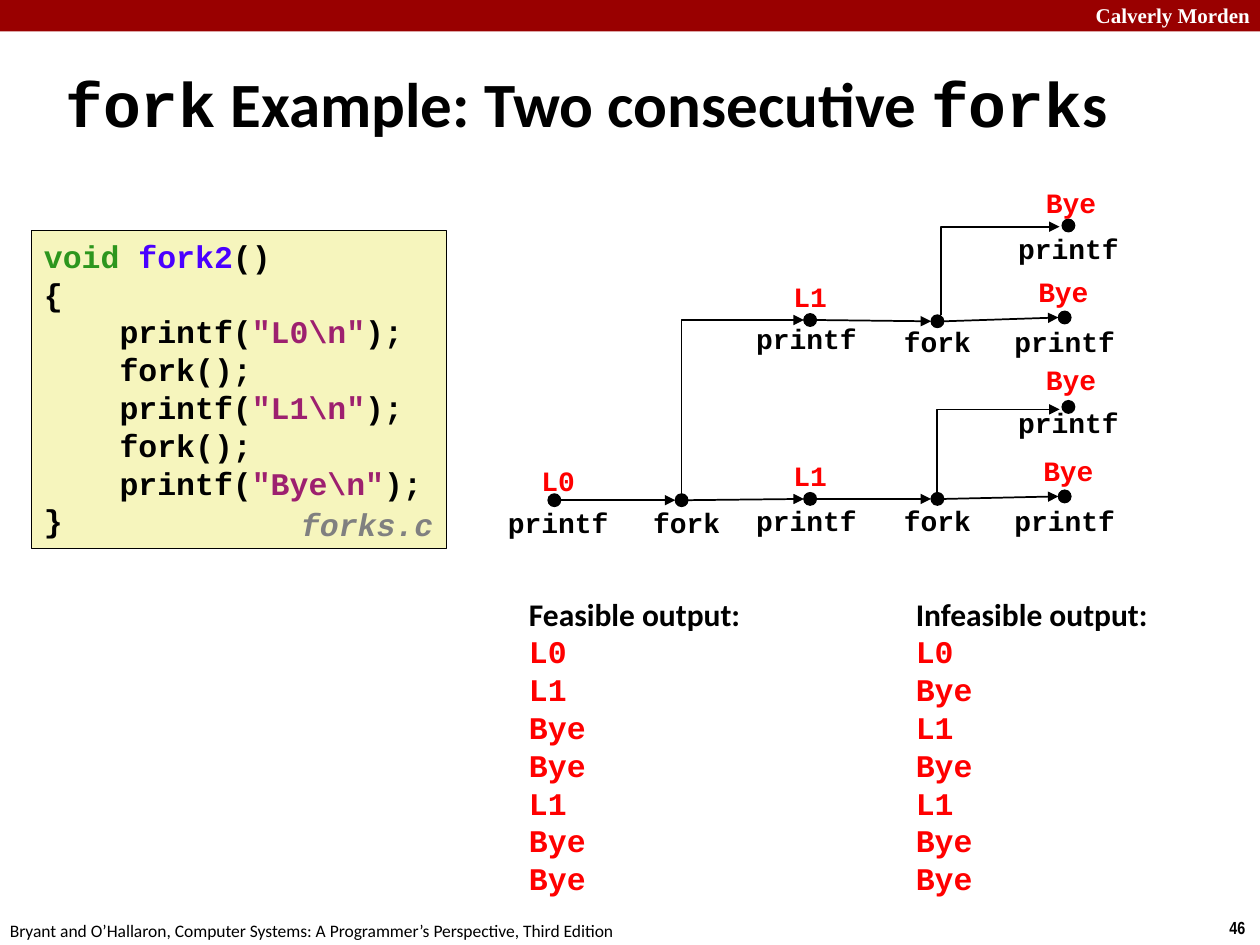
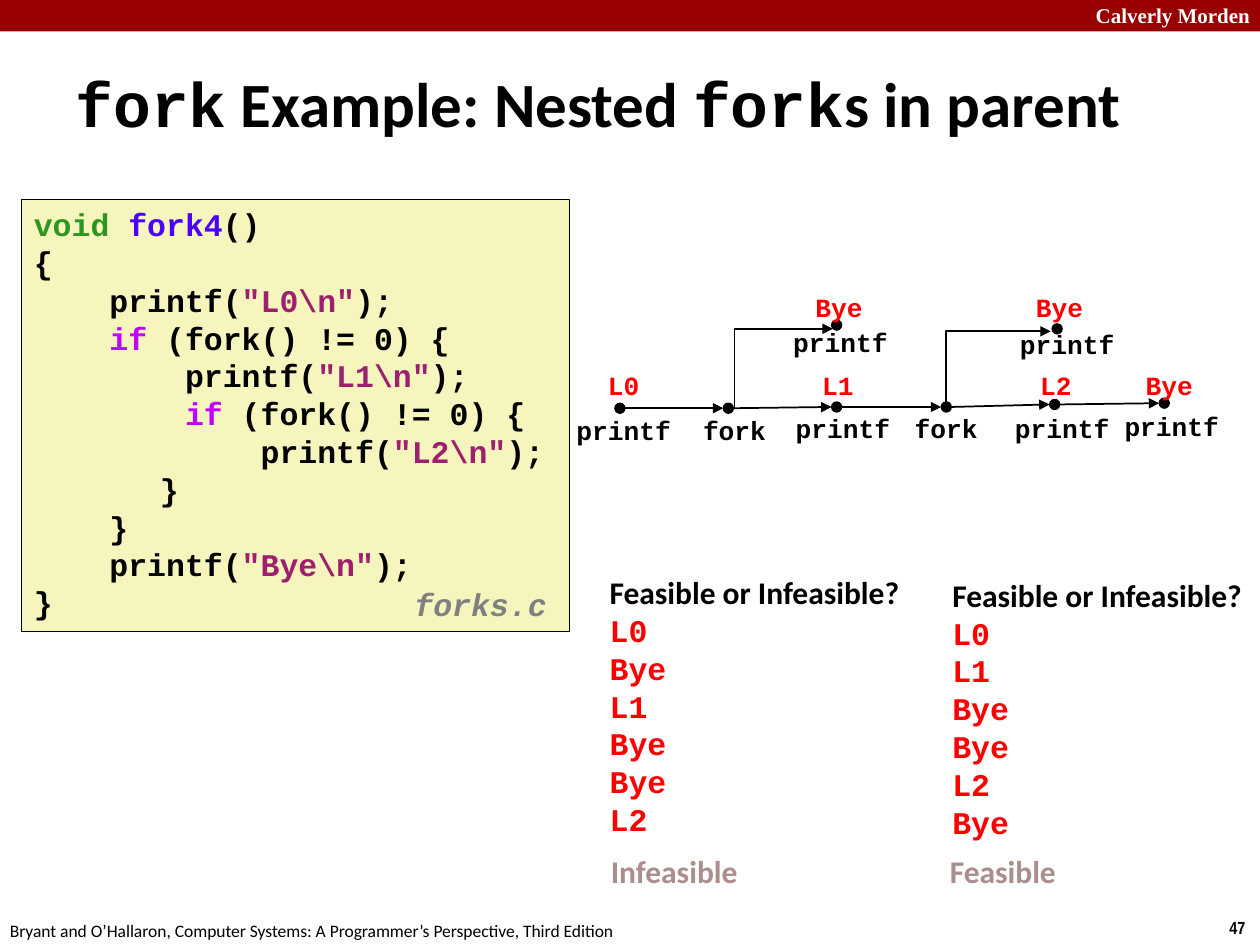
from collections import namedtuple

from lxml.etree import SubElement
from pptx import Presentation
from pptx.dml.color import RGBColor
from pptx.enum.shapes import MSO_CONNECTOR, MSO_SHAPE
from pptx.enum.text import MSO_ANCHOR, PP_ALIGN
from pptx.oxml.ns import qn
from pptx.util import Inches, Pt

BLACK = RGBColor(0x00, 0x00, 0x00)
WHITE = RGBColor(0xFF, 0xFF, 0xFF)
BAND_RED = RGBColor(0x99, 0x00, 0x00)
OUTPUT_RED = RGBColor(0xFF, 0x00, 0x00)
CODE_YELLOW = RGBColor(0xF6, 0xF5, 0xBD)
TYPE_GREEN = RGBColor(0x2D, 0x96, 0x1E)
NAME_BLUE = RGBColor(0x4A, 0x00, 0xFF)
STRING_PLUM = RGBColor(0x9D, 0x20, 0x6F)
KEYWORD_VIOLET = RGBColor(0xC2, 0x00, 0xFF)
FILE_GREY = RGBColor(0x80, 0x80, 0x80)
ANSWER_MAUVE = RGBColor(0xAB, 0x8D, 0x8D)

SANS = "Calibri"
MONO = "Courier New"

Line = namedtuple("Line", "runs indent", defaults=(0,))
Run = namedtuple("Run", "text color font", defaults=(None, None))
Step = namedtuple("Step", "x y call call_x call_y output output_x output_y",
                  defaults=(None, 0, 0))
Branch = namedtuple("Branch", "x bottom right top")


def write(holder, text, size=18, font=SANS, color=BLACK, bold=True, italic=False,
          align=PP_ALIGN.LEFT, anchor=MSO_ANCHOR.TOP, side_margin=0.1, spacing=None):
    frame = holder.text_frame
    frame.word_wrap = True
    frame.vertical_anchor = anchor
    frame.margin_left = frame.margin_right = Inches(side_margin)
    lines = [Line([Run(text)])] if isinstance(text, str) else text
    for index, line in enumerate(lines):
        paragraph = frame.add_paragraph() if index else frame.paragraphs[0]
        paragraph.alignment = align
        if spacing:
            paragraph.line_spacing = spacing
        if line.indent:
            paragraph._p.get_or_add_pPr().set("marL", str(Inches(line.indent)))
        for part in line.runs:
            run = paragraph.add_run()
            run.text = part.text
            run.font.size = Pt(size)
            run.font.name = part.font or font
            run.font.bold = bold
            run.font.italic = italic
            run.font.color.rgb = part.color or color


def add_text(slide, box, text, **style):
    write(slide.shapes.add_textbox(*map(Inches, box)), text, **style)


def add_solid(slide, preset, box, fill, line_width=None):
    solid = slide.shapes.add_shape(preset, *map(Inches, box))
    solid.shadow.inherit = False
    solid.fill.solid()
    solid.fill.fore_color.rgb = fill
    if line_width is None:
        solid.line.fill.background()
    else:
        solid.line.color.rgb = BLACK
        solid.line.width = Pt(line_width)
    return solid


def add_arrow(slide, kind, start, end):
    arrow = slide.shapes.add_connector(kind, *map(Inches, (*start, *end)))
    arrow.line.color.rgb = BLACK
    arrow.line.width = Pt(1)
    properties = arrow._element.spPr
    SubElement(properties.find(qn("a:ln")), qn("a:tailEnd"), type="triangle")
    SubElement(properties, qn("a:effectLst"))
    return arrow


def add_branch(slide, left, bottom, right, top):
    center_x, center_y = (left + right) / 2, (top + bottom) / 2
    half_rise, half_run = (bottom - top) / 2, (right - left) / 2
    arrow = add_arrow(slide, MSO_CONNECTOR.ELBOW,
                      (center_x + half_rise, center_y + half_run),
                      (center_x - half_rise, center_y - half_run))
    arrow.rotation = 90
    arrow._element.spPr.find(qn("a:prstGeom")).set("prst", "bentConnector2")


def add_frame(slide, page):
    add_solid(slide, MSO_SHAPE.RECTANGLE, (0, 0, 10, 0.25), BAND_RED)
    add_text(slide, (8, -0.03, 2.02, 0.3), "Calverly Morden", size=12,
             font="Times New Roman", color=WHITE, align=PP_ALIGN.RIGHT)
    add_text(slide, (9.66, 7.23, 0.34, 0.27), page, size=10, font="Arial Narrow")
    add_text(slide, (-0.02, 7.25, 5.3, 0.27),
             "Bryant and O’Hallaron, Computer Systems: A Programmer’s Perspective, Third Edition",
             size=10, bold=False)


def add_title(slide, box, before, after):
    fork = Run("fork", font=MONO)
    add_text(slide, box, [Line([fork, Run(before), fork, Run(after)])],
             size=36, anchor=MSO_ANCHOR.MIDDLE)


def color_code(indent, code):
    runs = []
    if code.startswith("if"):
        runs.append(Run("if", KEYWORD_VIOLET))
        code = code[2:]
    for index, piece in enumerate(code.split('"')):
        runs.append(Run(f'"{piece}"', STRING_PLUM) if index % 2 else Run(piece))
    return Line(runs, indent)


def add_code(slide, box, name, body):
    left, top, width, height = box
    signature = Line([Run("void ", TYPE_GREEN), Run(name, NAME_BLUE), Run("()")])
    panel = add_solid(slide, MSO_SHAPE.RECTANGLE, box, CODE_YELLOW, 0.25)
    write(panel, [signature] + [color_code(*line) for line in body], font=MONO)
    return left + width, top + height


def add_file_name(slide, left, top):
    add_text(slide, (left, top, 1.32, 0.39), "forks.c", font=MONO, color=FILE_GREY,
             italic=True, spacing=0.94)


def add_process_graph(slide, origin, steps, chains, branches, dot, size):
    left, top = origin
    radius = dot / 2

    def add_label(text, x, y, color):
        add_text(slide, (left + x - 0.55, top + y, 1.1, 0.36), text, size=size, font=MONO,
                 color=color, align=PP_ALIGN.CENTER, side_margin=0)

    for step in steps.values():
        add_solid(slide, MSO_SHAPE.OVAL,
                  (left + step.x - radius, top + step.y - radius, dot, dot), BLACK, 0.75)
        add_label(step.call, step.call_x, step.call_y, BLACK)
        if step.output:
            add_label(step.output, step.output_x, step.output_y, OUTPUT_RED)
    for chain in chains:
        for before, after in zip(chain, chain[1:]):
            source, target = steps[before], steps[after]
            add_arrow(slide, MSO_CONNECTOR.STRAIGHT,
                      (left + source.x + radius, top + source.y),
                      (left + target.x - radius, top + target.y))
    for branch in branches:
        add_branch(slide, left + branch.x, top + branch.bottom,
                   left + branch.right, top + branch.top)


def add_outputs(slide, box, heading, outputs):
    add_text(slide, box, [Line([Run(heading)])]
             + [Line([Run(output, OUTPUT_RED, MONO)]) for output in outputs.split()])


def build_consecutive_forks(slide):
    add_frame(slide, "46")
    add_title(slide, (0.42, 0.5, 9.33, 0.63), " Example: Two consecutive ", "s")
    add_code(slide, (0.25, 1.83, 3.29, 2.52), "fork2", [
        (0, "{"),
        (0.6, 'printf("L0\\n");'),
        (0.6, "fork();"),
        (0.6, 'printf("L1\\n");'),
        (0.6, "fork();"),
        (0.6, 'printf("Bye\\n");'),
        (0, "}"),
    ])
    add_file_name(slide, 2.29, 3.98)
    steps = {
        "a": Step(0.40, 2.97, "printf", 0.43, 2.96, "L0", 0.43, 2.63),
        "b": Step(1.41, 2.97, "fork", 1.45, 2.96),
        "c": Step(2.43, 2.96, "printf", 2.40, 2.95, "L1", 2.43, 2.59),
        "d": Step(3.44, 2.96, "fork", 3.44, 2.95),
        "e": Step(4.45, 2.94, "printf", 4.45, 2.95, "Bye", 4.48, 2.55),
        "f": Step(4.48, 2.23, "printf", 4.48, 2.17, "Bye", 4.50, 1.83),
        "g": Step(2.43, 1.54, "printf", 2.40, 1.50, "L1", 2.43, 1.17),
        "h": Step(3.44, 1.55, "fork", 3.44, 1.53),
        "i": Step(4.45, 1.52, "printf", 4.45, 1.53, "Bye", 4.44, 1.13),
        "j": Step(4.48, 0.79, "printf", 4.48, 0.79, "Bye", 4.50, 0.42),
    }
    branches = [Branch(1.41, 2.92, 2.38, 1.54), Branch(3.44, 2.95, 4.41, 2.25),
                Branch(3.47, 1.50, 4.41, 0.80)]
    add_process_graph(slide, (4, 1), steps, ["abcde", "ghi"], branches, dot=0.1, size=16)
    add_outputs(slide, (4.1, 4.67, 2.1, 2.52), "Feasible output:",
                "L0 L1 Bye Bye L1 Bye Bye")
    add_outputs(slide, (7.17, 4.67, 2.3, 2.52), "Infeasible output:",
                "L0 Bye L1 Bye L1 Bye Bye")


def build_nested_forks(slide):
    add_frame(slide, "47")
    add_title(slide, (0.5, 0.5, 8.78, 0.63), " Example: Nested ", "s in parent")
    add_code(slide, (0.17, 1.58, 4.35, 3.43), "fork4", [
        (0, "{"),
        (0.6, 'printf("L0\\n");'),
        (0.6, "if (fork() != 0) {"),
        (1.2, 'printf("L1\\n");'),
        (1.2, "if (fork() != 0) {"),
        (1.8, 'printf("L2\\n");'),
        (1, "}"),
        (0.6, "}"),
        (0.6, 'printf("Bye\\n");'),
        (0, "}"),
    ])
    add_file_name(slide, 3.19, 4.62)
    steps = {
        "a": Step(0.92, 1.24, "printf", 0.95, 1.24, "L0", 0.95, 0.88),
        "b": Step(1.78, 1.24, "fork", 1.83, 1.24),
        "c": Step(2.64, 1.23, "printf", 2.69, 1.22, "L1", 2.65, 0.88),
        "d": Step(3.51, 1.23, "fork", 3.51, 1.22),
        "e": Step(4.37, 1.21, "printf", 4.43, 1.22, "L2", 4.38, 0.88),
        "f": Step(5.24, 1.20, "printf", 5.30, 1.21, "Bye", 5.28, 0.88),
        "g": Step(2.64, 0.58, "printf", 2.67, 0.54, "Bye", 2.66, 0.26),
        "h": Step(4.39, 0.61, "printf", 4.47, 0.56, "Bye", 4.41, 0.26),
    }
    branches = [Branch(1.83, 1.24, 2.61, 0.61), Branch(3.51, 1.22, 4.34, 0.63)]
    add_process_graph(slide, (4, 2), steps, ["abcdef"], branches, dot=0.08, size=15)
    question = "Feasible or Infeasible?"
    add_outputs(slide, (4.74, 4.5, 2.7, 2.22), question, "L0 Bye L1 Bye Bye L2")
    add_outputs(slide, (7.46, 4.52, 2.7, 2.22), question, "L0 L1 Bye Bye L2 Bye")
    for left, answer in ((4.75, "Infeasible"), (7.44, "Feasible")):
        add_text(slide, (left, 6.71, 1.4, 0.4), answer, color=ANSWER_MAUVE)


def main():
    deck = Presentation()
    deck.slide_width, deck.slide_height = Inches(10), Inches(7.5)
    for build in (build_consecutive_forks, build_nested_forks):
        build(deck.slides.add_slide(deck.slide_layouts[6]))
    deck.save("out.pptx")


if __name__ == "__main__":
    main()
